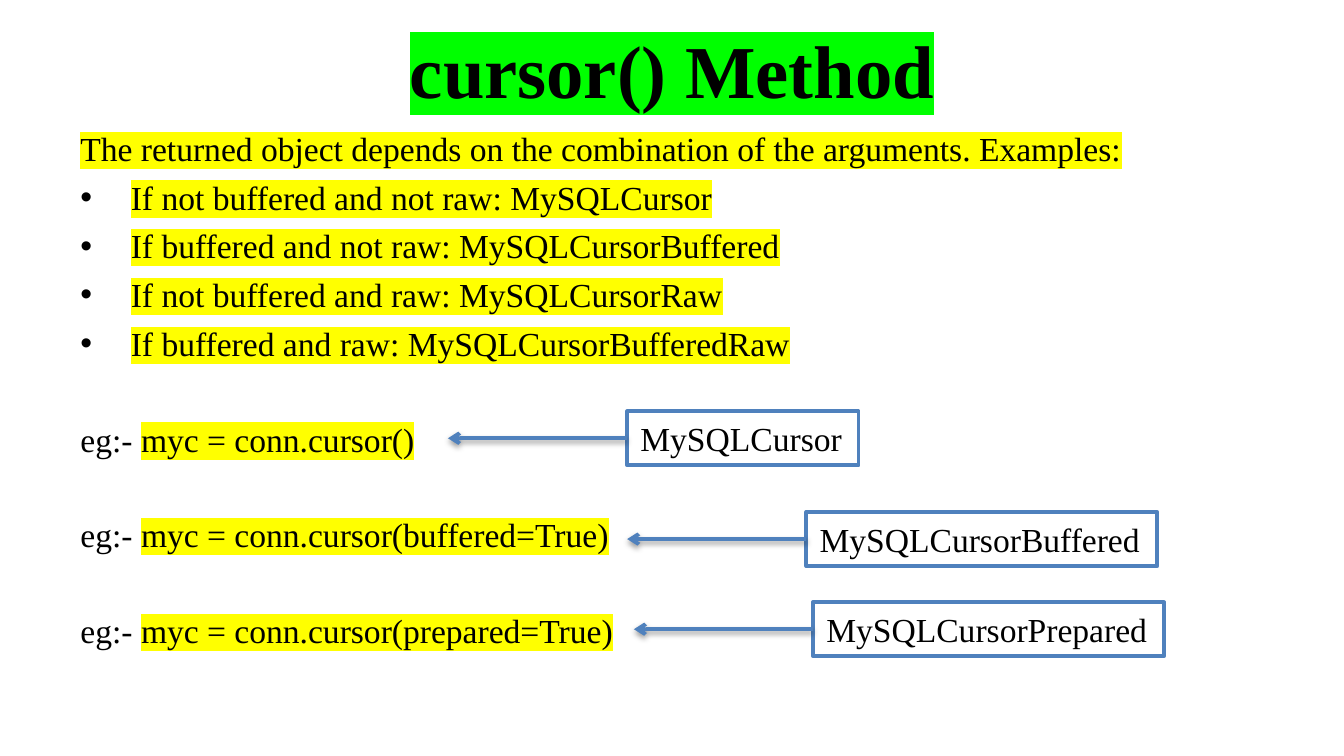
from lxml import etree
from pptx import Presentation
from pptx.dml.color import RGBColor
from pptx.enum import shapes, text
from pptx.oxml.ns import qn
from pptx.util import Pt

COLORS = {"ink": "000000", "paper": "FFFFFF", "blue": "4F81BD",
          "green": "00FF00", "yellow": "FFFF00"}
FONT = "Times New Roman"
TITLE = "cursor() Method"
INTRO = "The returned object depends on the combination of the arguments. Examples:"
CASES = [
    "If not buffered and not raw: MySQLCursor",
    "If buffered and not raw: MySQLCursorBuffered",
    "If not buffered and raw: MySQLCursorRaw",
    "If buffered and raw: MySQLCursorBufferedRaw",
]
CALLS = ["myc = conn.cursor()", "myc = conn.cursor(buffered=True)",
         "myc = conn.cursor(prepared=True)"]
RESULTS = [
    ("MySQLCursor", 336, 220.3, 124),
    ("MySQLCursorBuffered", 432, 274.3, 188),
    ("MySQLCursorPrepared", 435.6, 322.6, 188),
]
MARGIN, CONTENT_WIDTH = 36, 648
RESULT_HEIGHT, ARROW_LENGTH = 29, 96
BULLET_INDENT, LINE_GAP, CALL_GAP = 27, 4.5, 29.7


def rgb(name):
    return RGBColor.from_string(COLORS[name])


def add(parent, tag, **attributes):
    return etree.SubElement(parent, qn(tag), attributes)


def format_run(run, size=18, highlight=None, bold=False):
    run.font.size = Pt(size)
    run.font.bold = bold
    run.font.color.rgb = rgb("ink")
    run.font.name = FONT
    if highlight:
        marker = etree.Element(qn("a:highlight"))
        add(marker, "a:srgbClr", val=COLORS[highlight])
        run.font.fill
        run._r.get_or_add_rPr().find(qn("a:solidFill")).addnext(marker)


def add_title(slide):
    title = slide.shapes.title
    title.left, title.top = Pt(MARGIN), Pt(3)
    title.width, title.height = Pt(CONTENT_WIDTH), Pt(67.5)
    title.text_frame.text = TITLE
    title.text_frame.vertical_anchor = text.MSO_ANCHOR.MIDDLE
    heading = title.text_frame.paragraphs[0]
    heading.alignment = text.PP_ALIGN.CENTER
    format_run(heading.runs[0], 40, "green", True)


def add_body(slide):
    body = slide.shapes.add_textbox(Pt(MARGIN), Pt(65), Pt(CONTENT_WIDTH), Pt(318))
    frame = body.text_frame
    frame.word_wrap = True
    frame.text = INTRO
    format_run(frame.paragraphs[0].runs[0], highlight="yellow")
    for case in CASES:
        item = frame.add_paragraph()
        item.text = case
        properties = item._p.get_or_add_pPr()
        properties.set("marL", str(Pt(BULLET_INDENT)))
        properties.set("indent", str(-Pt(BULLET_INDENT)))
        add(properties, "a:buFont", typeface="Arial")
        add(properties, "a:buChar", char="•")
        item.space_before = Pt(LINE_GAP)
        format_run(item.runs[0], highlight="yellow")
    for call in CALLS:
        example = frame.add_paragraph()
        example.space_before = Pt(CALL_GAP)
        for words, highlight in (("eg:- ", None), (call, "yellow")):
            run = example.add_run()
            run.text = words
            format_run(run, highlight=highlight)


def add_result(slide, name, left, top, width):
    result = slide.shapes.add_shape(shapes.MSO_SHAPE.RECTANGLE, Pt(left), Pt(top),
                                    Pt(width), Pt(RESULT_HEIGHT))
    result.shadow.inherit = False
    result.fill.solid()
    result.fill.fore_color.rgb = rgb("paper")
    result.line.color.rgb = rgb("blue")
    result.line.width = Pt(2)
    frame = result.text_frame
    frame.text = name
    frame.word_wrap = False
    frame.auto_size = text.MSO_AUTO_SIZE.SHAPE_TO_FIT_TEXT
    frame.paragraphs[0].alignment = text.PP_ALIGN.LEFT
    format_run(frame.paragraphs[0].runs[0])
    return result


def add_arrow(slide, result, left, top):
    middle = Pt(top + RESULT_HEIGHT / 2)
    arrow = slide.shapes.add_connector(shapes.MSO_CONNECTOR.STRAIGHT, Pt(left), middle,
                                       Pt(left - ARROW_LENGTH), middle)
    arrow.begin_connect(result, 1)
    arrow.line.color.rgb = rgb("blue")
    arrow.line.width = Pt(2)
    add(arrow.line._get_or_add_ln(), "a:tailEnd", type="arrow")
    effects = add(arrow._element.spPr, "a:effectLst")
    shadow = add(effects, "a:outerShdw", blurRad=str(Pt(3.1)), dist=str(Pt(1.6)),
                 dir="5400000", rotWithShape="0")
    shade = add(shadow, "a:srgbClr", val=COLORS["ink"])
    add(shade, "a:alpha", val="38000")


def main():
    deck = Presentation()
    deck.slide_width, deck.slide_height = Pt(720), Pt(405)
    slide = deck.slides.add_slide(deck.slide_layouts[5])
    add_title(slide)
    add_body(slide)
    for name, left, top, width in RESULTS:
        result = add_result(slide, name, left, top, width)
        add_arrow(slide, result, left, top)
    deck.save("out.pptx")


if __name__ == "__main__":
    main()
